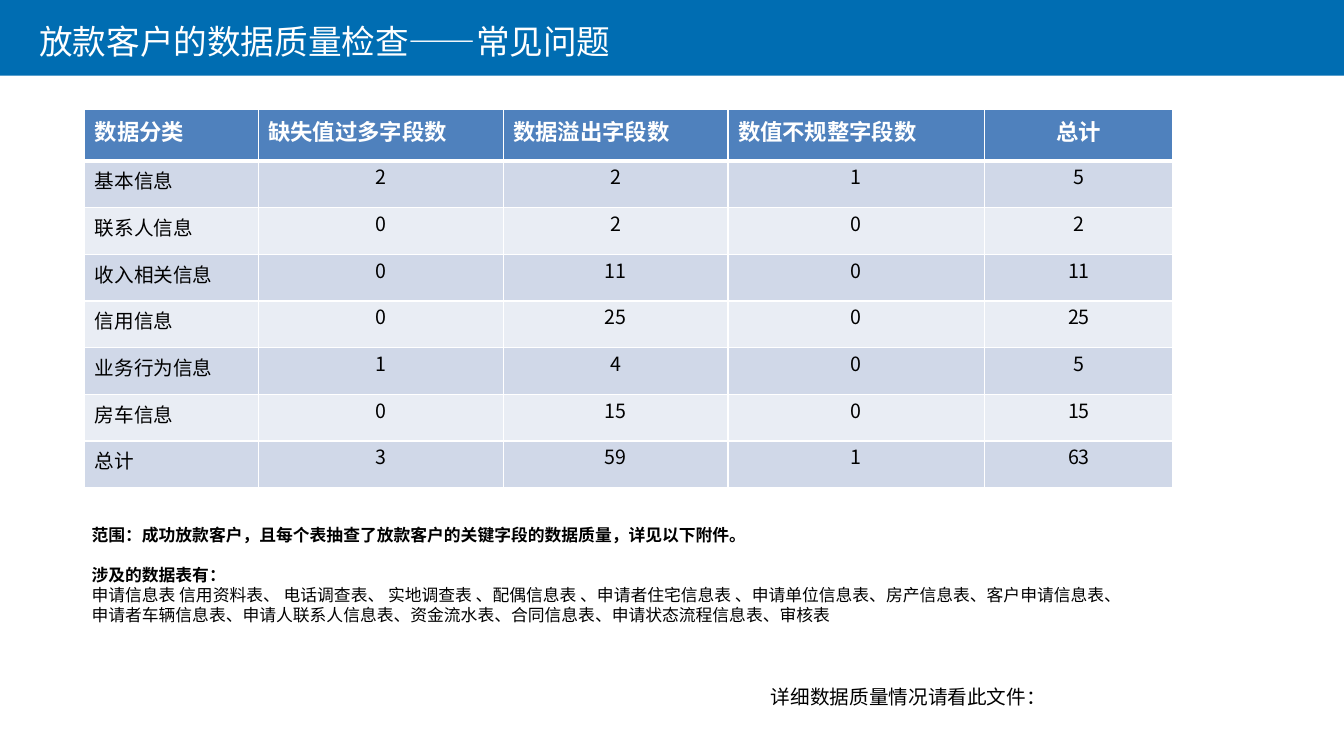
from dataclasses import dataclass
from typing import Optional

import pptx
import pptx.dml.color
import pptx.enum.shapes
import pptx.enum.text
import pptx.oxml.ns
import pptx.util
from lxml import etree

Pt = pptx.util.Pt
qn = pptx.oxml.ns.qn
Align = pptx.enum.text.PP_ALIGN


@dataclass(frozen=True)
class Theme:
    font: str = "Noto Sans CJK SC"
    banner: str = "006DB2"
    header: str = "4F81BD"
    bands: tuple = ("D0D8E8", "E9EDF4")
    white: str = "FFFFFF"
    black: str = "000000"
    title_size: float = 24
    header_size: float = 16
    body_size: float = 14
    scope_size: float = 12
    line_height: float = 1.2
    first_line_drop: float = 0.09


@dataclass(frozen=True)
class Line:
    text: str
    bold: bool = False
    gap_lines: int = 0


@dataclass(frozen=True)
class TextBlock:
    left: float
    top: float
    width: float
    height: float
    size: float
    color: str
    lines: tuple


@dataclass(frozen=True)
class Category:
    label: str
    missing: int
    overflow: int
    irregular: int

    def values(self) -> list:
        counts = [self.missing, self.overflow, self.irregular]
        return counts + [sum(counts)]


THEME = Theme()


def rgb(color: str) -> pptx.dml.color.RGBColor:
    return pptx.dml.color.RGBColor.from_string(color)


def style(paragraph, size: float, color: str, bold: bool = False) -> None:
    font = paragraph.font
    font.size = Pt(size)
    font.bold = bold
    font.color.rgb = rgb(color)
    font.name = THEME.font
    defaults = paragraph._p.find(qn("a:pPr")).find(qn("a:defRPr"))
    etree.SubElement(defaults, qn("a:ea"), typeface=THEME.font)


def draw_text(slide, block: TextBlock) -> None:
    box = slide.shapes.add_textbox(
        Pt(block.left), Pt(block.top), Pt(block.width), Pt(block.height))
    frame = box.text_frame
    frame.word_wrap = True
    frame.margin_right = 0
    frame.margin_top = Pt(3.6 + THEME.first_line_drop * block.size)
    spacing = THEME.line_height * block.size
    for index, line in enumerate(block.lines):
        paragraph = frame.add_paragraph() if index else frame.paragraphs[0]
        paragraph.text = line.text
        paragraph.line_spacing = Pt(spacing)
        if line.gap_lines:
            paragraph.space_before = Pt(line.gap_lines * spacing)
        style(paragraph, block.size, block.color, line.bold)


def draw_borders(cell, top: float, bottom: float) -> None:
    properties = cell._tc.get_or_add_tcPr()
    for side, width in (("L", 1), ("R", 1), ("T", top), ("B", bottom)):
        border = etree.SubElement(properties, qn(f"a:ln{side}"), w=str(Pt(width)))
        fill = etree.SubElement(border, qn("a:solidFill"))
        etree.SubElement(fill, qn("a:srgbClr"), val=THEME.white)


def draw_cell(cell, text: str, row: int, align: Optional[Align], tight: bool) -> None:
    is_header = row == 0
    draw_borders(cell, 3 if row == 1 else 1, 3 if is_header else 1)
    cell.fill.solid()
    cell.fill.fore_color.rgb = rgb(THEME.header if is_header else THEME.bands[(row - 1) % 2])
    if tight:
        cell.margin_left = cell.margin_right = cell.margin_top = Pt(0.75)
        cell.margin_bottom = 0
    paragraph = cell.text_frame.paragraphs[0]
    paragraph.text = text
    paragraph.alignment = align
    if is_header:
        style(paragraph, THEME.header_size, THEME.white, True)
    else:
        style(paragraph, THEME.body_size, THEME.black)


def draw_issue_table(slide, headings: tuple, categories: tuple) -> None:
    widths = (124, 175, 160.5, 183.5, 134.5)
    header_height, row_height = 36.5, 33.36
    rows = [list(headings)] + [[c.label, *map(str, c.values())] for c in categories]
    totals = [sum(column) for column in zip(*(c.values() for c in categories))]
    rows.append([headings[-1], *map(str, totals)])
    table = slide.shapes.add_table(
        len(rows), len(widths), Pt(60.5), Pt(78.5), Pt(sum(widths)),
        Pt(header_height + row_height * (len(rows) - 1))).table
    for column, width in zip(table.columns, widths):
        column.width = Pt(width)
    for r, texts in enumerate(rows):
        table.rows[r].height = Pt(row_height if r else header_height)
        for c, text in enumerate(texts):
            is_count = r > 0 and c > 0
            centred = is_count or c == len(widths) - 1
            draw_cell(table.cell(r, c), text, r, Align.CENTER if centred else None, is_count)


HEADINGS = ("数据分类", "缺失值过多字段数", "数据溢出字段数", "数值不规整字段数", "总计")
CATEGORIES = (
    Category("基本信息", 2, 2, 1),
    Category("联系人信息", 0, 2, 0),
    Category("收入相关信息", 0, 11, 0),
    Category("信用信息", 0, 25, 0),
    Category("业务行为信息", 1, 4, 0),
    Category("房车信息", 0, 15, 0),
)
TITLE = TextBlock(21, 9.4, 692, 36, THEME.title_size, THEME.white,
                  (Line("放款客户的数据质量检查——常见问题"),))
FILE_HINT = TextBlock(543.6, 484.6, 212.4, 24.5, THEME.body_size, THEME.black,
                      (Line("详细数据质量情况请看此文件："),))
SCOPE = TextBlock(58.3, 370, 762.5, 80, THEME.scope_size, THEME.black, (
    Line("范围：成功放款客户，且每个表抽查了放款客户的关键字段的数据质量，详见以下附件。", True),
    Line("涉及的数据表有：", True, 1),
    Line("申请信息表 信用资料表、 电话调查表、 实地调查表 、配偶信息表 、申请者住宅信息表 、"
         "申请单位信息表、房产信息表、客户申请信息表、"),
    Line("申请者车辆信息表、申请人联系人信息表、资金流水表、合同信息表、申请状态流程信息表、审核表"),
))

deck = pptx.Presentation()
deck.slide_width, deck.slide_height = Pt(960), Pt(540)
issues = deck.slides.add_slide(deck.slide_layouts[6])
banner = issues.shapes.add_shape(
    pptx.enum.shapes.MSO_SHAPE.RECTANGLE, 0, 0, deck.slide_width, Pt(54))
banner.shadow.inherit = False
banner.fill.solid()
banner.fill.fore_color.rgb = rgb(THEME.banner)
banner.line.fill.background()
draw_text(issues, TITLE)
draw_issue_table(issues, HEADINGS, CATEGORIES)
for remark in (FILE_HINT, SCOPE):
    draw_text(issues, remark)
deck.save("out.pptx")
